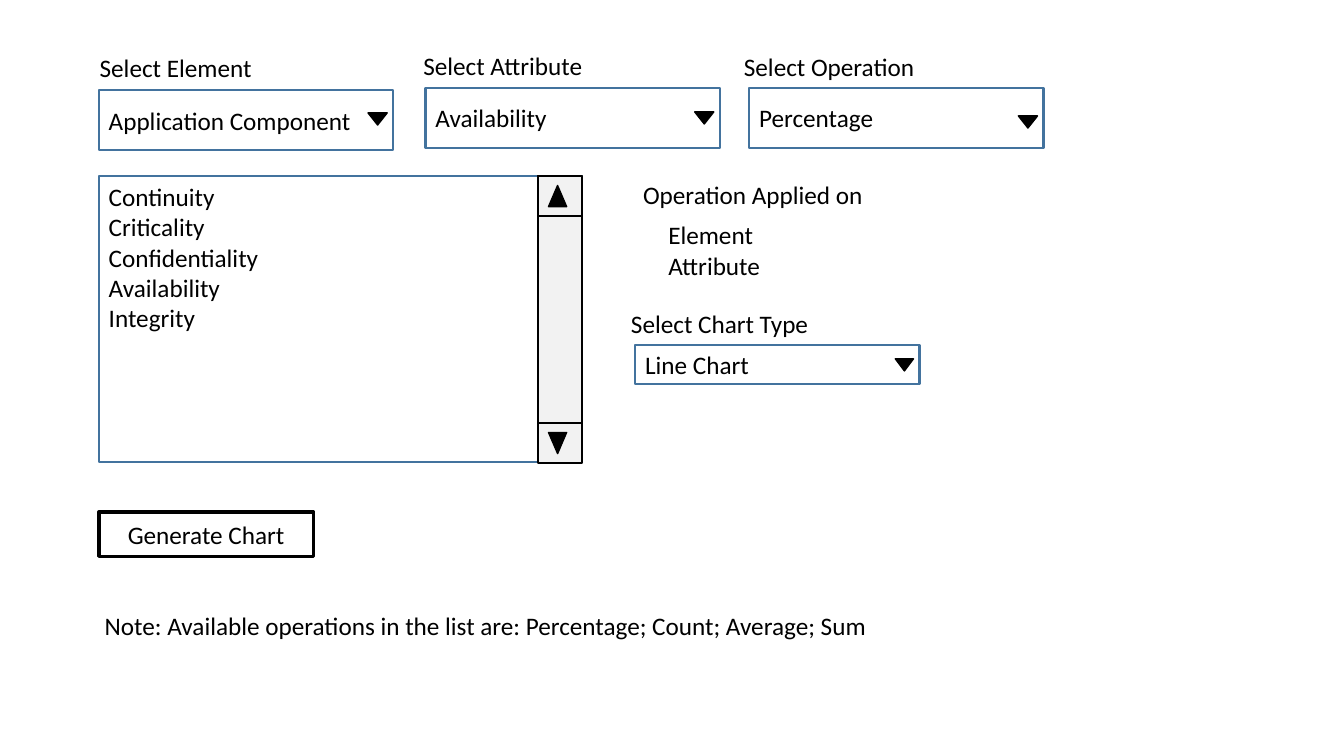
from dataclasses import dataclass
from typing import Any, Optional

import pptx
import pptx.dml.color
import pptx.enum.shapes
import pptx.enum.text
import pptx.util

Inches = pptx.util.Inches
Box = tuple[float, float, float, float]
SHAPE = pptx.enum.shapes.MSO_SHAPE
ALIGN = pptx.enum.text.PP_ALIGN
ANCHOR = pptx.enum.text.MSO_ANCHOR
BLACK, BLUE, GREY = "000000", "43739E", "F2F2F2"
FONT = {"name": "Calibri", "size": pptx.util.Pt(18)}


@dataclass
class Dropdown:
    label: str
    value: str
    label_box: Box
    field: Box
    arrow: Box


@dataclass
class Label:
    lines: list[str]
    box: Box


DROPDOWNS = [
    Dropdown("Select Operation", "Percentage", (7.28, 0.46, 2.82, 0.41),
             (7.43, 0.87, 2.92, 0.6), (10.1, 1.15, 0.19, 0.12)),
    Dropdown("Select Element", "Application Component", (0.89, 0.47, 2.82, 0.41),
             (0.98, 0.89, 2.92, 0.6), (3.65, 1.12, 0.19, 0.12)),
    Dropdown("Select Attribute", "Availability", (4.1, 0.45, 2.82, 0.41),
             (4.22, 0.87, 2.92, 0.6), (6.89, 1.11, 0.19, 0.12)),
    Dropdown("Select Chart Type", "Line Chart", (6.16, 3.01, 2.72, 0.41),
             (6.3, 3.42, 2.82, 0.39), (8.88, 3.56, 0.18, 0.12)),
]
LABELS = [
    Label(["Operation Applied on"], (6.28, 1.73, 2.5, 0.4)),
    Label(["Element", "Attribute"], (6.53, 2.13, 1.48, 0.71)),
    Label(["Note: Available operations in the list are: Percentage; Count; Average; Sum"],
          (0.94, 6.01, 11.32, 0.4)),
]
LIST_ITEMS = ["Continuity", "Criticality", "Confidentiality", "Availability", "Integrity"]


def rgb(value: str) -> pptx.dml.color.RGBColor:
    return pptx.dml.color.RGBColor.from_string(value)


def write(sp: Any, lines: list[str], align: Any = ALIGN.LEFT, anchor: Any = ANCHOR.TOP) -> None:
    tf = sp.text_frame
    for name, value in {"word_wrap": True, "vertical_anchor": anchor}.items():
        setattr(tf, name, value)
    for i, line in enumerate(lines):
        p = tf.paragraphs[0] if i == 0 else tf.add_paragraph()
        p.alignment = align
        r = p.add_run()
        r.text = line
        for name, value in FONT.items():
            setattr(r.font, name, value)
        r.font.color.rgb = rgb(BLACK)


def add_shape(shapes: Any, kind: Any, box: Box, line: str, width: float,
              fill: Optional[str] = None, rotation: float = 0) -> Any:
    sp = shapes.add_shape(kind, *map(Inches, box))
    sp.shadow.inherit = False
    sp.rotation = rotation
    if fill:
        sp.fill.solid()
        sp.fill.fore_color.rgb = rgb(fill)
    else:
        sp.fill.background()
    sp.line.color.rgb = rgb(line)
    sp.line.width = pptx.util.Pt(width)
    return sp


def add_arrow(shapes: Any, box: Box, rotation: float = 180) -> None:
    add_shape(shapes, SHAPE.ISOSCELES_TRIANGLE, box, BLACK, 1, BLACK, rotation)


def add_label(shapes: Any, label: Label) -> None:
    write(shapes.add_textbox(*map(Inches, label.box)), label.lines)


def add_dropdown(shapes: Any, item: Dropdown) -> None:
    group = shapes.add_group_shape().shapes
    field = add_shape(group, SHAPE.RECTANGLE, item.field, BLUE, 1.5)
    write(field, [item.value], anchor=ANCHOR.MIDDLE)
    add_label(group, Label([item.label], item.label_box))
    add_arrow(group, item.arrow)


def add_list(shapes: Any) -> None:
    group = shapes.add_group_shape().shapes
    write(add_shape(group, SHAPE.RECTANGLE, (0.98, 1.75, 4.79, 2.83), BLUE, 1.5), LIST_ITEMS)
    for top, height in ((1.75, 2.83), (4.2, 0.39), (1.75, 0.39)):
        add_shape(group, SHAPE.RECTANGLE, (5.34, top, 0.43, height), BLACK, 1.5, GREY)
    for top, rotation in ((1.84, 0), (4.29, 180)):
        add_arrow(group, (5.44, top, 0.18, 0.21), rotation)


def main() -> None:
    prs = pptx.Presentation()
    prs.slide_width, prs.slide_height = Inches(13.33), Inches(7.5)
    s = prs.slides.add_slide(prs.slide_layouts[6])
    button = add_shape(s.shapes, SHAPE.RECTANGLE, (0.98, 5.08, 2.13, 0.44), BLACK, 2.5)
    write(button, ["Generate Chart"], ALIGN.CENTER, ANCHOR.MIDDLE)
    add_list(s.shapes)
    for item in DROPDOWNS:
        add_dropdown(s.shapes, item)
    for label in LABELS:
        add_label(s.shapes, label)
    prs.save("out.pptx")


if __name__ == "__main__":
    main()
